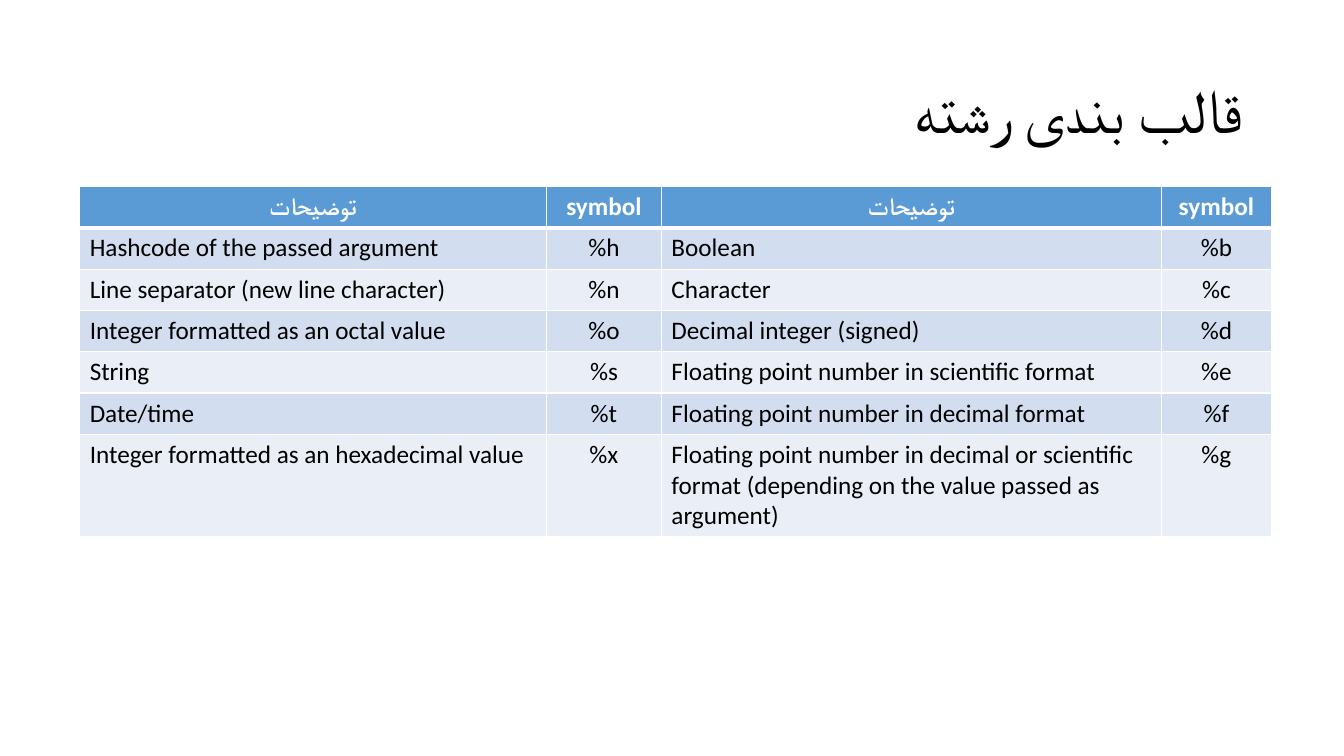
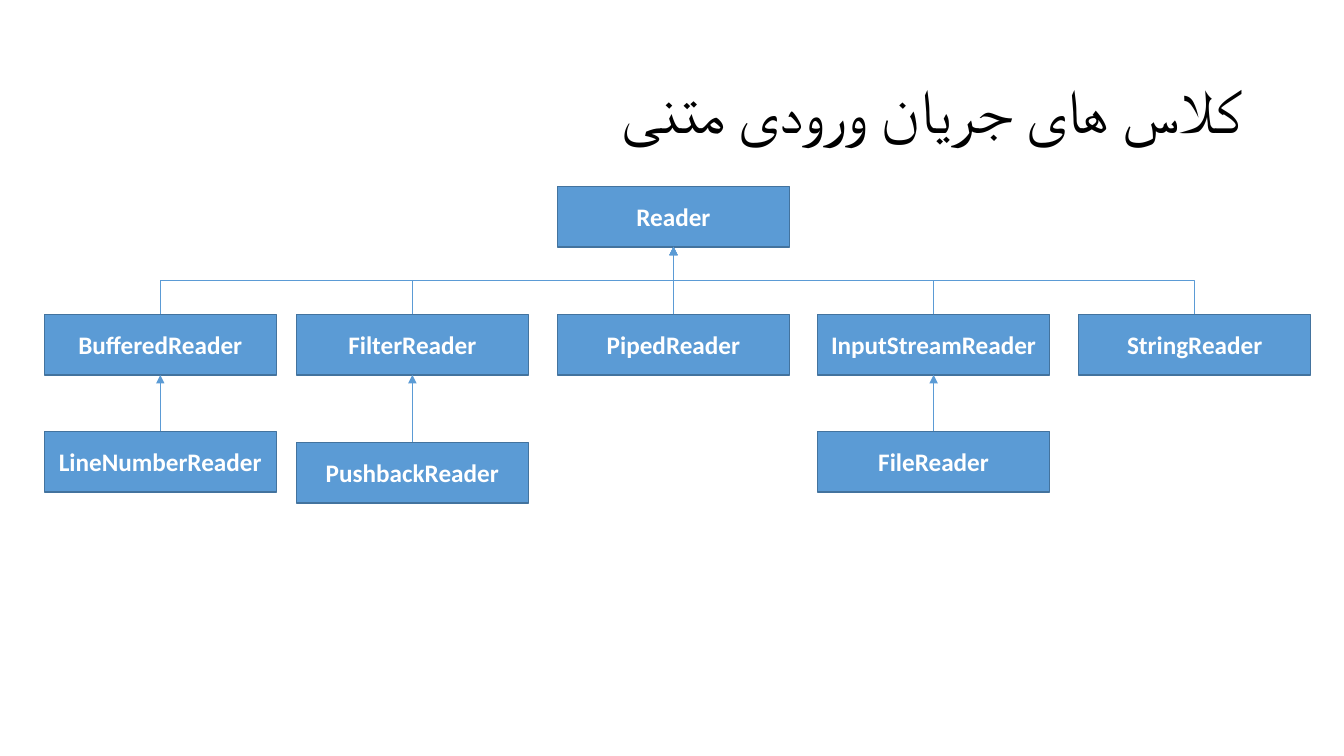
from dataclasses import dataclass
from typing import Any

from lxml import etree
from pptx import Presentation
from pptx.dml.color import RGBColor
from pptx.enum.shapes import MSO_CONNECTOR, MSO_SHAPE
from pptx.enum.text import MSO_ANCHOR, PP_ALIGN
from pptx.oxml.ns import qn
from pptx.util import Inches, Pt

RECT = MSO_SHAPE.RECTANGLE
BENT, LINE = MSO_CONNECTOR.ELBOW, MSO_CONNECTOR.STRAIGHT
MID = MSO_ANCHOR.MIDDLE
LEFT, MIDST, RIGHT = PP_ALIGN.LEFT, PP_ALIGN.CENTER, PP_ALIGN.RIGHT

BLUE = RGBColor(0x5B, 0x9B, 0xD5)
EDGE = RGBColor(0x43, 0x73, 0x9E)
BANDS = (RGBColor(0xEA, 0xEF, 0xF7), RGBColor(0xD2, 0xDE, 0xEF))
WHITE = RGBColor(0xFF, 0xFF, 0xFF)
BLACK = RGBColor(0, 0, 0)

FACE = "Calibri"
PLAIN = {"name": FACE, "size": Pt(18), "bold": False}
STRONG = {**PLAIN, "bold": True}
LARGE = {**PLAIN, "size": Pt(44)}

TOP, BOTTOM = 0, 2
COLS = (0.44, 2.94, 5.53, 8.11, 10.7)
ROWS = (1.85, 3.12, 4.28, 4.39)
WIDE, HIGH = 2.3, 0.6

SPANS = (4.63, 1.14, 4.96, 1.09)
STEP = 0.41
HEAD = ("توضیحات", "symbol") * 2
CODES = (
    ("Hashcode of the passed argument", "%h", "Boolean", "%b"),
    ("Line separator (new line character)", "%n", "Character", "%c"),
    ("Integer formatted as an octal value", "%o", "Decimal integer (signed)", "%d"),
    ("String", "%s", "Floating point number in scientific format", "%e"),
    ("Date/time", "%t", "Floating point number in decimal format", "%f"),
    ("Integer formatted as an hexadecimal value", "%x",
     "Floating point number in decimal or scientific format "
     "(depending on the value passed as argument)", "%g"),
)


@dataclass(frozen=True)
class Node:
    name: str
    col: int
    row: int
    base: str = ""


NODES = (
    Node("Reader", 2, 0),
    Node("BufferedReader", 0, 1, "Reader"),
    Node("FilterReader", 1, 1, "Reader"),
    Node("PipedReader", 2, 1, "Reader"),
    Node("InputStreamReader", 3, 1, "Reader"),
    Node("StringReader", 4, 1, "Reader"),
    Node("LineNumberReader", 0, 2, "BufferedReader"),
    Node("PushbackReader", 1, 3, "FilterReader"),
    Node("FileReader", 3, 2, "InputStreamReader"),
)


def dress(item: Any, values: dict[str, Any]) -> None:
    for name, value in values.items():
        setattr(item, name, value)


def write(frame: Any, text: str, style: dict[str, Any], ink: RGBColor, align: Any) -> Any:
    para = frame.paragraphs[0]
    para.alignment = align
    run = para.add_run()
    run.text = text
    dress(run.font, style)
    run.font.color.rgb = ink
    props = run.font._element if hasattr(run.font, "_element") else run._r.get_or_add_rPr()
    etree.SubElement(props, qn("a:cs"), typeface=FACE)
    return para


def add_page(deck: Any, text: str) -> Any:
    page = deck.slides.add_slide(deck.slide_layouts[5])
    title = page.shapes.title
    dress(title, {"left": Inches(0.92), "top": Inches(0.4),
                  "width": Inches(11.5), "height": Inches(1.45)})
    title.text_frame.vertical_anchor = MID
    para = write(title.text_frame, text, LARGE, BLACK, RIGHT)
    para.line_spacing = 0.9
    para._p.get_or_add_pPr().set("rtl", "1")
    return page


def add_rules(cell: Any, base: float) -> None:
    props = cell._tc.get_or_add_tcPr()
    for side, width in (("L", 1), ("R", 1), ("T", 1), ("B", base)):
        rule = etree.SubElement(props, qn(f"a:ln{side}"), w=str(Pt(width)))
        fill = etree.SubElement(rule, qn("a:solidFill"))
        etree.SubElement(fill, qn("a:srgbClr"), val=str(WHITE))


def add_grid(page: Any) -> None:
    lines = (HEAD, *CODES)
    grid = page.shapes.add_table(
        len(lines), len(SPANS), Inches(0.79), Inches(1.85),
        Inches(sum(SPANS)), Inches(STEP * len(lines))).table
    grid.horz_banding = False
    for col, span in zip(grid.columns, SPANS):
        col.width = Inches(span)
    for y, line in enumerate(lines):
        grid.rows[y].height = Inches(STEP)
        for x, text in enumerate(line):
            cell = grid.cell(y, x)
            first = y == 0
            add_rules(cell, 3 if first else 1)
            cell.fill.solid()
            cell.fill.fore_color.rgb = BLUE if first else BANDS[y % 2]
            write(cell.text_frame, text, STRONG if first else PLAIN,
                  WHITE if first else BLACK, MIDST if first or x % 2 else LEFT)


def add_box(page: Any, node: Node) -> Any:
    box = page.shapes.add_shape(RECT, Inches(COLS[node.col]), Inches(ROWS[node.row]),
                                Inches(WIDE), Inches(HIGH))
    box.shadow.inherit = False
    box.fill.solid()
    box.fill.fore_color.rgb = BLUE
    box.line.color.rgb = EDGE
    box.line.width = Pt(1)
    box.text_frame.vertical_anchor = MID
    write(box.text_frame, node.name, STRONG, WHITE, MIDST)
    return box


def turn(link: Any) -> None:
    right = link.begin_x > link.end_x
    wide, high = link.width, link.height
    dress(link, {"left": link.left + (wide - high) // 2,
                 "top": link.top + (high - wide) // 2,
                 "width": high, "height": wide})
    frame = link._element.spPr.find(qn("a:xfrm"))
    marks = {"rot": "16200000" if right else "5400000",
             "flipH": "0" if right else "1", "flipV": "1"}
    for name, value in marks.items():
        frame.set(name, value)


def add_link(page: Any, child: Any, base: Any) -> None:
    bent = child.left != base.left
    link = page.shapes.add_connector(BENT if bent else LINE, 0, 0, 0, 0)
    link.begin_connect(child, TOP)
    link.end_connect(base, BOTTOM)
    if bent:
        turn(link)
    link.line.color.rgb = BLUE
    link.line.width = Pt(0.5)
    etree.SubElement(link.line._get_or_add_ln(), qn("a:tailEnd"), type="triangle")
    etree.SubElement(link._element.spPr, qn("a:effectLst"))


def add_tree(page: Any) -> None:
    boxes = {node.name: add_box(page, node) for node in NODES}
    for node in NODES:
        if node.base:
            add_link(page, boxes[node.name], boxes[node.base])


def main() -> None:
    deck = Presentation()
    dress(deck, {"slide_width": Inches(13.33), "slide_height": Inches(7.5)})
    add_grid(add_page(deck, "قالب بندی رشته"))
    add_tree(add_page(deck, "کلاس های جریان ورودی متنی"))
    deck.save("out.pptx")


if __name__ == "__main__":
    main()
